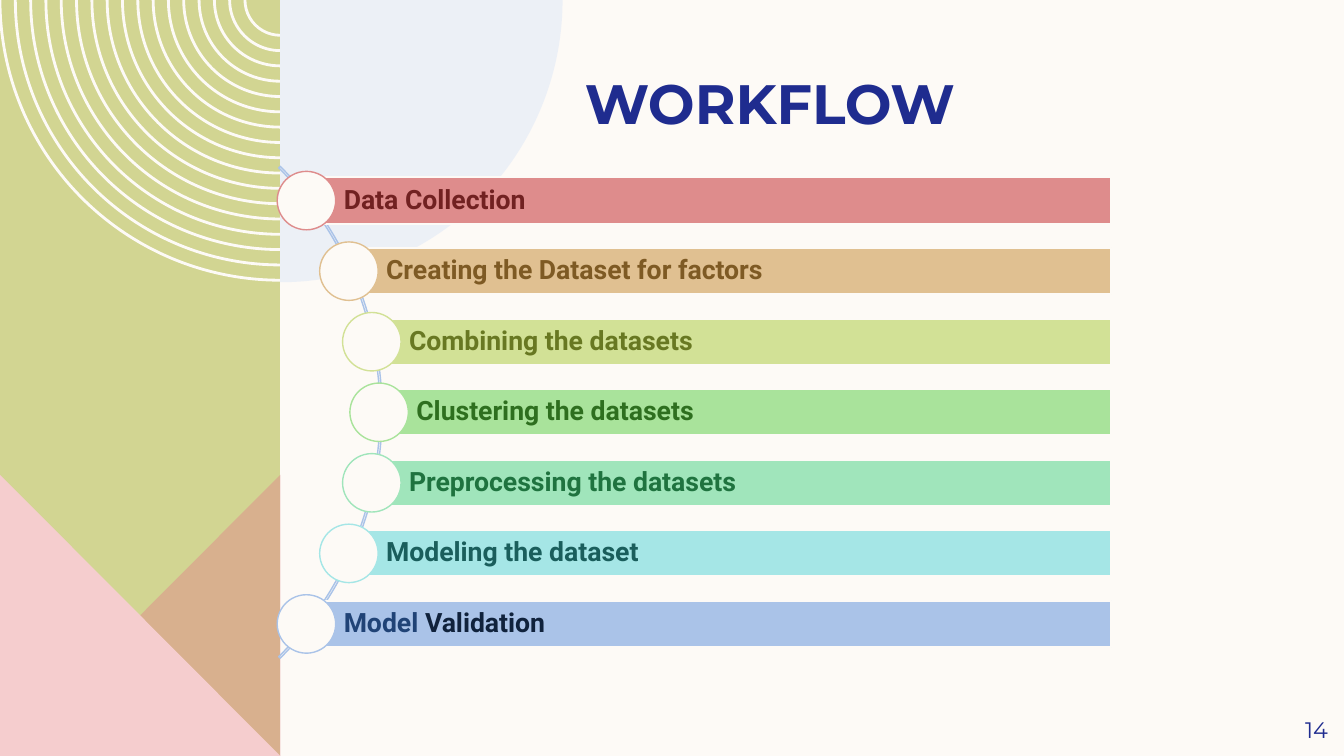
import math

from lxml import etree
from pptx import Presentation
from pptx import util as u
from pptx.dml.color import RGBColor
from pptx.enum import shapes, text
from pptx.oxml.ns import qn

Inches, Pt = u.Inches, u.Pt

CREAM = RGBColor(0xFD, 0xFA, 0xF6)
OLIVE = RGBColor(0xD2, 0xD5, 0x92)
RED = RGBColor(0xDE, 0x8C, 0x8C)
PINK = RGBColor(0xF5, 0xCD, 0xCE)
PALE_BLUE = RGBColor(0xDD, 0xE7, 0xF6)
NAVY = RGBColor(0x1F, 0x2C, 0x8F)
TAN = RGBColor(0xE0, 0xC0, 0x91)
LIME = RGBColor(0xD2, 0xE1, 0x96)
GREEN = RGBColor(0xA9, 0xE3, 0x9B)
MINT = RGBColor(0xA0, 0xE5, 0xBB)
AQUA = RGBColor(0xA5, 0xE6, 0xE6)
BLUE = RGBColor(0xAA, 0xC3, 0xE8)
DARK_RED = RGBColor(0x71, 0x21, 0x21)
DARK_TAN = RGBColor(0x7E, 0x5A, 0x24)
DARK_LIME = RGBColor(0x68, 0x78, 0x22)
DARK_GREEN = RGBColor(0x2E, 0x6F, 0x1F)
DARK_MINT = RGBColor(0x1F, 0x73, 0x3F)
DARK_AQUA = RGBColor(0x1A, 0x5E, 0x5C)
DARK_BLUE = RGBColor(0x20, 0x43, 0x76)
INK = RGBColor(0x10, 0x22, 0x3C)

TITLE = "WORKFLOW"
PAGE = "14"
# Bar colour, then the label as (words, colour) pieces
STEPS = [
    (RED, [("Data Collection", DARK_RED)]),
    (TAN, [("Creating the Dataset for factors", DARK_TAN)]),
    (LIME, [("Combining the datasets", DARK_LIME)]),
    (GREEN, [("Clustering the datasets", DARK_GREEN)]),
    (MINT, [("Preprocessing the datasets", DARK_MINT)]),
    (AQUA, [("Modeling the dataset", DARK_AQUA)]),
    (BLUE, [("Model ", DARK_BLUE), ("Validation", INK)]),
]

PANEL_RIGHT, SLIDE_BOTTOM = 2.78, 7.5
TRIANGLE_TOP = 4.71
RING_COUNT, RING_INNER, RING_OUTER = 17, 0.35, 2.78
DISC_RADIUS = 2.8
ARC_X, ARC_Y, ARC_RADIUS, STEP_RADIUS = 0.34, 4.09, 3.45, 3.42
STEP_PITCH, BAR_HEIGHT, BAR_RIGHT, DOT_RADIUS = 0.7, 0.46, 11.02, 0.29
# python-pptx adjustments count angles in units of 100000 / 60000 degrees
DEGREE = 0.6


def paint(shape, fill=None, line=None, width=1, alpha=None):
    shape.shadow.inherit = False
    if fill is None:
        shape.fill.background()
    else:
        shape.fill.solid()
        shape.fill.fore_color.rgb = fill
    if alpha is not None:
        colour = shape.fill._xPr.find(qn("a:solidFill"))[0]
        etree.SubElement(colour, qn("a:alpha")).set("val", str(alpha * 1000))
    if line is None:
        shape.line.fill.background()
    else:
        shape.line.color.rgb = line
        shape.line.width = Pt(width)


def add_polygon(slide, points, fill, alpha=None):
    corners = [(Inches(x), Inches(y)) for x, y in points]
    builder = slide.shapes.build_freeform(*corners[0])
    builder.add_line_segments(corners[1:], close=True)
    paint(builder.convert_to_shape(), fill, alpha=alpha)


def add_round(slide, kind, x, y, radius, adjustments=()):
    """Add a circular preset shape around a centre."""
    size = Inches(2 * radius)
    shape = slide.shapes.add_shape(kind, Inches(x - radius), Inches(y - radius), size, size)
    for i, value in enumerate(adjustments):
        shape.adjustments[i] = value
    return shape


def write(shape, pieces, size, font, bold, align, anchor, margins):
    frame = shape.text_frame
    frame.word_wrap = True
    frame.vertical_anchor = anchor
    (frame.margin_left, frame.margin_top,
     frame.margin_right, frame.margin_bottom) = map(Inches, margins)
    paragraph = frame.paragraphs[0]
    paragraph.alignment = align
    for words, colour in pieces:
        run = paragraph.add_run()
        run.text = words
        run.font.size = Pt(size)
        run.font.name = font
        run.font.bold = bold
        run.font.color.rgb = colour
    return paragraph


def add_decoration(slide):
    right, bottom, top = PANEL_RIGHT, SLIDE_BOTTOM, TRIANGLE_TOP
    add_polygon(slide, [(0, 0), (right, 0), (right, bottom), (0, bottom)], OLIVE)
    gap = (RING_OUTER - RING_INNER) / (RING_COUNT - 1)
    for i in range(RING_COUNT):
        ring = add_round(slide, shapes.MSO_SHAPE.ARC, right, 0, RING_INNER + i * gap,
                         (90 * DEGREE, 180 * DEGREE))
        paint(ring, line=CREAM, width=2)
    add_polygon(slide, [(right, top), (right, bottom), (0, bottom)], RED, 50)
    add_polygon(slide, [(right, bottom), (0, bottom), (0, top)], PINK)
    disc = add_round(slide, shapes.MSO_SHAPE.PIE, right, 0, DISC_RADIUS, (0, 90 * DEGREE))
    paint(disc, PALE_BLUE, alpha=50)


def add_steps(slide):
    preset = shapes.MSO_SHAPE
    arc = add_round(slide, preset.BLOCK_ARC, ARC_X, ARC_Y, ARC_RADIUS,
                    (315 * DEGREE, 45 * DEGREE, 0.003))
    paint(arc, line=BLUE)

    for i, (colour, label) in enumerate(STEPS):
        offset = (i - (len(STEPS) - 1) / 2) * STEP_PITCH
        x = ARC_X + math.sqrt(STEP_RADIUS ** 2 - offset ** 2)
        y = ARC_Y + offset
        bar = slide.shapes.add_shape(preset.RECTANGLE, Inches(x), Inches(y - BAR_HEIGHT / 2),
                                     Inches(BAR_RIGHT - x), Inches(BAR_HEIGHT))
        paint(bar, colour, CREAM, 1.5)
        paragraph = write(bar, label, 19, "Roboto", True, text.PP_ALIGN.LEFT,
                          text.MSO_ANCHOR.MIDDLE, (0.37, 0.05, 0.05, 0.05))
        paragraph.line_spacing = 0.9
        paint(add_round(slide, preset.OVAL, x, y, DOT_RADIUS), CREAM, colour)


def main():
    deck = Presentation()
    deck.slide_width, deck.slide_height = Inches(13.33), Inches(7.5)
    slide = deck.slides.add_slide(deck.slide_layouts[6])
    slide.background.fill.solid()
    slide.background.fill.fore_color.rgb = CREAM

    add_decoration(slide)
    title = slide.shapes.add_textbox(Inches(3.28), Inches(0.69), Inches(8.71), Inches(0.66))
    write(title, [(TITLE, NAVY)], 39.6, "Montserrat", True, text.PP_ALIGN.CENTER,
          text.MSO_ANCHOR.BOTTOM, (0.1, 0, 0.1, 0))
    page = slide.shapes.add_textbox(Inches(12), Inches(6.98), Inches(1.17), Inches(0.52))
    write(page, [(PAGE, NAVY)], 16, "Montserrat", False, text.PP_ALIGN.RIGHT,
          text.MSO_ANCHOR.MIDDLE, (0.1, 0.05, 0, 0.05))
    add_steps(slide)
    deck.save("out.pptx")


if __name__ == "__main__":
    main()
